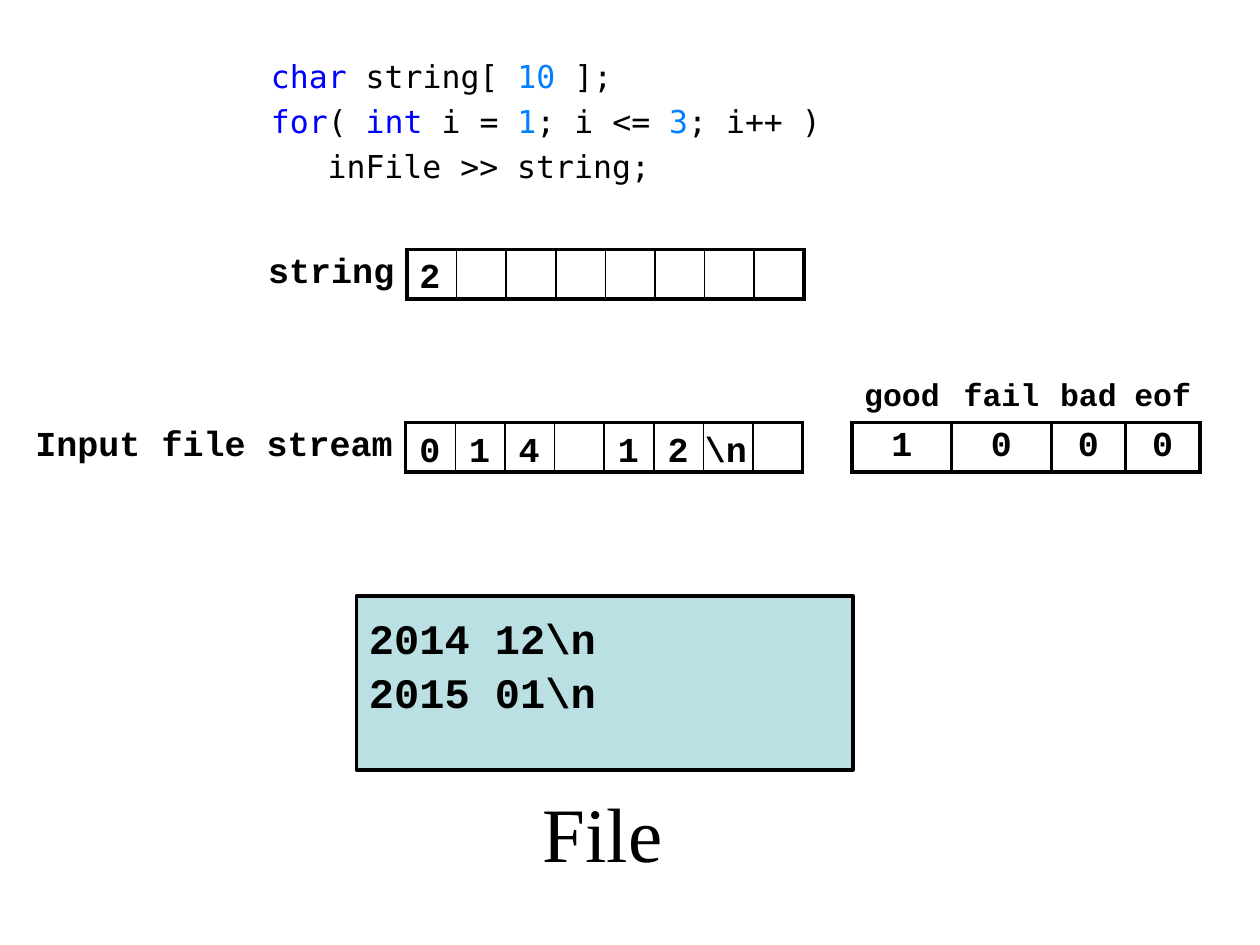
import pptx
import pptx.dml.color
import pptx.enum.shapes
import pptx.enum.text
import pptx.oxml
import pptx.oxml.ns
import pptx.util
from pptx.util import Inches

COLORS = {"ink": "000000", "keyword": "0000FF", "number": "0080FF", "file": "BBE0E3"}
MONO = "Courier New"
CELL = 0.394
STREAM_LEFT, STREAM_TOP = 0.27, 2.96
BUFFER_LEFT = 3.23
THICK, THIN = 2.25, 1
ALIGN = pptx.enum.text.PP_ALIGN
MIDDLE = pptx.enum.text.MSO_ANCHOR.MIDDLE
CODE = [
    (0, [("char", "keyword"), (" string[ ", "ink"), ("10", "number"), (" ];", "ink")]),
    (0, [("for", "keyword"), ("( ", "ink"), ("int", "keyword"), (" i = ", "ink"),
         ("1", "number"), ("; i <= ", "ink"), ("3", "number"), ("; i++ )", "ink")]),
    (0.45, [("inFile >> string;", "ink")]),
]


def rgb(name):
    return pptx.dml.color.RGBColor.from_string(COLORS[name])


def set_font(paragraph, size, name=MONO, bold=True):
    font = paragraph.font
    font.size, font.name, font.bold = pptx.util.Pt(size), name, bold
    font.color.rgb = rgb("ink")


def set_margins(holder, left=0, top=0, right=0, bottom=0):
    holder.margin_left, holder.margin_top = Inches(left), Inches(top)
    holder.margin_right, holder.margin_bottom = Inches(right), Inches(bottom)


def add_code(slide):
    body = slide.placeholders[1]
    body.left, body.top, body.width, body.height = map(Inches, (2.05, 0.4, 4.72, 1.18))
    frame = body.text_frame
    frame.auto_size = pptx.enum.text.MSO_AUTO_SIZE.NONE
    set_margins(frame, 0.1, 0.05, 0.08, 0.05)
    for index, (indent, pieces) in enumerate(CODE):
        line = frame.add_paragraph() if index else frame.paragraphs[0]
        set_font(line, 18, "DejaVu Sans Mono", False)
        line.space_before = pptx.util.Pt(4.2)
        # Code lines carry no bullet
        properties = line._p.get_or_add_pPr()
        properties.set("marL", str(Inches(indent)))
        properties.set("indent", "0")
        bullet = pptx.oxml.parse_xml(f'<a:buNone {pptx.oxml.ns.nsdecls("a")}/>')
        properties.insert_element_before(bullet, "a:tabLst", "a:defRPr", "a:extLst")
        for text, color in pieces:
            run = line.add_run()
            run.text = text
            run.font.color.rgb = rgb(color)


def add_text(slide, text, left, top, width, height, size, inset=0.1, font=MONO, bold=True):
    box = slide.shapes.add_textbox(*map(Inches, (left, top, width, height)))
    frame = box.text_frame
    frame.word_wrap = True
    frame.vertical_anchor = MIDDLE
    set_margins(frame, inset, 0.05, inset, 0.05)
    frame.text = text
    set_font(frame.paragraphs[0], size, font, bold)


def border(side, width):
    if width:
        fill = f'<a:solidFill><a:srgbClr val="{COLORS["ink"]}"/></a:solidFill>'
    else:
        fill = "<a:noFill/>"
    return pptx.oxml.parse_xml(
        f'<a:ln{side} {pptx.oxml.ns.nsdecls("a")} w="{pptx.util.Pt(width)}">{fill}</a:ln{side}>')


def add_grid(slide, left, top, columns, row_count, texts, boxes):
    """texts: {(row, column): (text, size, align)}; boxes: (row, first, last, inner width)."""
    frame = slide.shapes.add_table(row_count, len(columns), Inches(left), Inches(top),
                                   Inches(sum(columns)), Inches(CELL * row_count))
    table = frame.table
    table.first_row = table.horz_banding = False
    for column, width in zip(table.columns, columns):
        column.width = Inches(width)
    # Neighbouring cells share one edge
    upright, level = {}, {}
    for row, first, last, inner in boxes:
        for column in range(first, last + 1):
            upright[row, column] = THICK if column == first else inner
            level[row, column] = level[row + 1, column] = THICK
        upright[row, last + 1] = THICK
    for row in range(row_count):
        for column in range(len(columns)):
            cell = table.cell(row, column)
            text, size, align = texts.get((row, column), ("", 12, ALIGN.CENTER))
            cell.text = text
            set_margins(cell, right=0.1 if align == ALIGN.RIGHT else 0)
            cell.vertical_anchor = MIDDLE
            set_font(cell.text_frame.paragraphs[0], size)
            cell.text_frame.paragraphs[0].alignment = align
            cell.fill.background()
            edges = {"L": upright.get((row, column), 0), "R": upright.get((row, column + 1), 0),
                     "T": level.get((row, column), 0), "B": level.get((row + 1, column), 0)}
            for position, (side, width) in enumerate(edges.items()):
                cell._tc.get_or_add_tcPr().insert(position, border(side, width))


def add_file(slide):
    card = slide.shapes.add_shape(pptx.enum.shapes.MSO_SHAPE.RECTANGLE,
                                  *map(Inches, (2.83, 4.73, 3.94, 1.38)))
    card.shadow.inherit = False
    card.fill.solid()
    card.fill.fore_color.rgb = rgb("file")
    card.line.color.rgb = rgb("ink")
    card.line.width = pptx.util.Pt(THICK)
    frame = card.text_frame
    frame.vertical_anchor = pptx.enum.text.MSO_ANCHOR.TOP
    set_margins(frame, 0.1, 0.13, 0.1, 0.05)
    frame.text = "2014 12\\n\n2015 01\\n"
    for record in frame.paragraphs:
        set_font(record, 24)
        record.alignment = ALIGN.LEFT
    frame.paragraphs[1].space_before = pptx.util.Pt(2)


def main():
    deck = pptx.Presentation()
    deck.slide_width, deck.slide_height = Inches(10), Inches(7.5)
    slide = deck.slides.add_slide(deck.slide_layouts[1])
    title = slide.shapes.title._element
    title.getparent().remove(title)

    add_text(slide, "File", 4.21, 6.11, 1.18, 0.98, 44, font="Times New Roman", bold=False)
    add_code(slide)

    # Input stream buffer with its state flags
    stream = {(1, 0): ("Input file stream", 20, ALIGN.RIGHT)}
    flags = [("good", "1"), ("fail", "0"), ("bad", "0"), ("eof", "0")]
    for column, (flag, value) in enumerate(flags, start=10):
        stream[0, column] = (flag, 18, ALIGN.CENTER)
        stream[1, column] = (value, 20, ALIGN.CENTER)
    columns = [2.95] + [CELL] * 9 + [0.79, 0.79, 0.59, 0.59]
    add_grid(slide, STREAM_LEFT, STREAM_TOP, columns, 2, stream,
             [(1, 1, 8, THIN), (1, 10, 13, THICK)])

    # String variable
    add_grid(slide, 2.05, 1.98, [1.18] + [CELL] * 8, 1,
             {(0, 0): ("string", 20, ALIGN.RIGHT)}, [(0, 1, 8, THIN)])

    add_file(slide)

    # Characters held in the buffers
    for top, characters in ((1.98, ["2"]), (3.36, ["0", "1", "4", "", "1", "2", "\\n"])):
        for index, character in enumerate(characters):
            if character:
                add_text(slide, character, BUFFER_LEFT + index * CELL, top, CELL, CELL, 20,
                         inset=0.1 if len(character) == 1 else 0)

    deck.save("out.pptx")


main()
